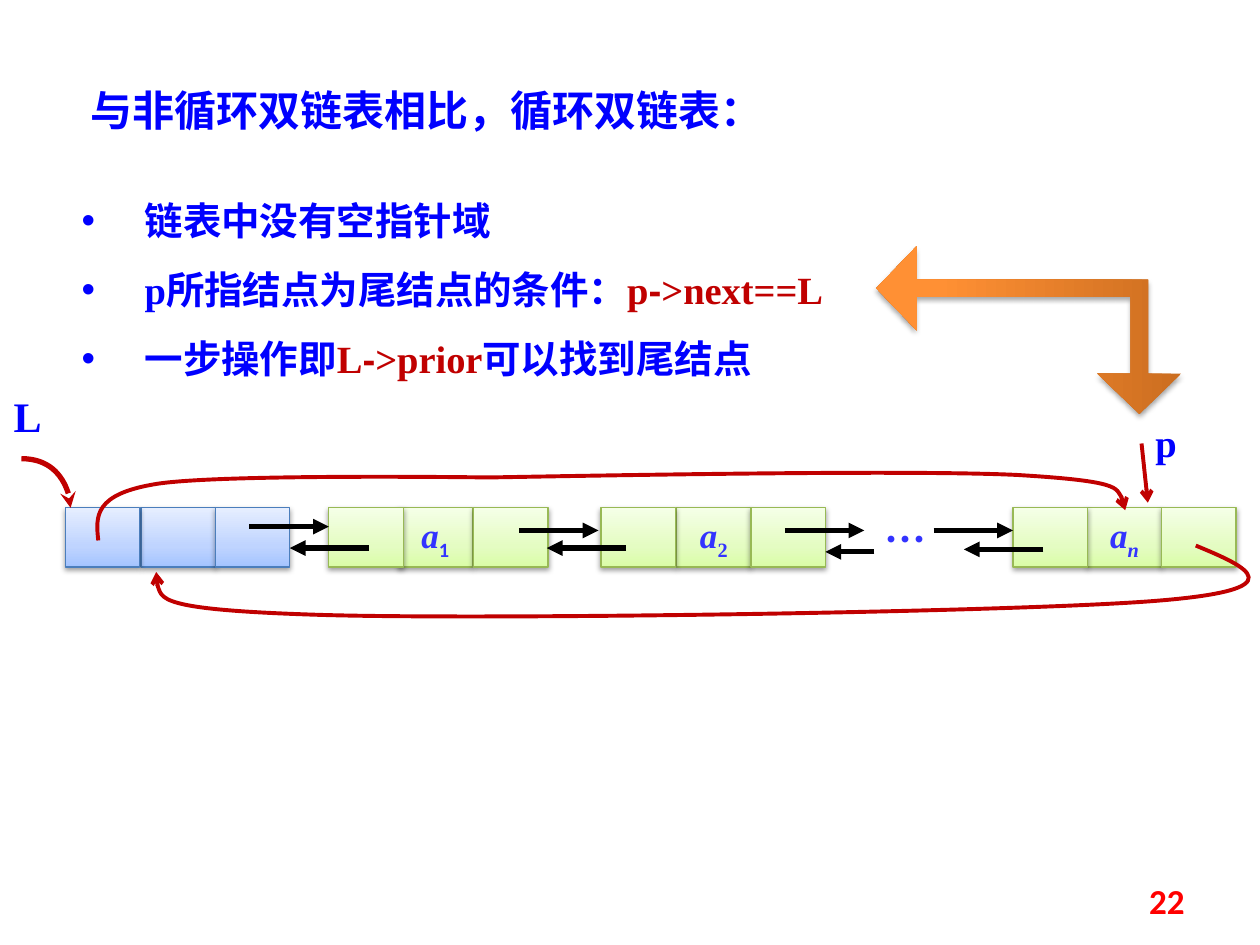
import pptx
import pptx.util
import pptx.oxml
import pptx.oxml.ns
import pptx.dml.color
import pptx.enum.shapes
import pptx.enum.text
from dataclasses import dataclass

Inches, Pt = pptx.util.Inches, pptx.util.Pt
Shape = pptx.enum.shapes.MSO_SHAPE
Align = pptx.enum.text.PP_ALIGN
Anchor = pptx.enum.text.MSO_ANCHOR
Fit = pptx.enum.text.MSO_AUTO_SIZE
qn = pptx.oxml.ns.qn


@dataclass
class Theme:
    serif: str = "Times New Roman"
    hans: str = "Noto Sans CJK SC"
    sans: str = "Calibri"
    dash: str = "Arial"
    blue: str = "0000FF"
    ink: str = "3333FF"
    dark: str = "C00000"
    red: str = "FF0000"
    black: str = "000000"
    head: int = 24
    body: int = 22
    small: int = 20
    # Gradient stops run from the bottom to the top of a shape
    sky: tuple = ((0, "A4C4FF"), (35, "BFD4FF"), (100, "E6EEFF"))
    lime: tuple = ((0, "DAFDA7"), (35, "E4FCC2"), (100, "F5FFE7"))
    flame: tuple = ((0, "CC6E20"), (80, "FF9034"), (100, "FF9136"))
    sky_edge: str = "4B7EBC"
    lime_edge: str = "98B955"


def make(tag, attrs="", inner=""):
    """Return one drawing element."""
    space = pptx.oxml.ns.nsdecls("a")
    return pptx.oxml.parse_xml(f"<a:{tag} {space} {attrs}>{inner}</a:{tag}>")


def color(code):
    return pptx.dml.color.RGBColor.from_string(code)


class Painter:
    def __init__(self, slide, theme):
        self.slide, self.theme = slide, theme
        self.shapes = slide.shapes

    def run(self, para, text, size, code, face=None, bold=True,
            slant=False, sub=False):
        part = para.add_run()
        part.text = text
        font = part.font
        font.size, font.bold, font.italic = Pt(size), bold, slant
        font.color.rgb = color(code)
        font.name = face or self.theme.serif
        props = part._r.get_or_add_rPr()
        props.append(make("ea", f'typeface="{self.theme.hans}"'))
        if sub:
            props.set("baseline", "-25000")

    def title(self, text, box):
        shape = self.shapes.title
        shape.left, shape.top, shape.width, shape.height = map(Inches, box)
        frame = shape.text_frame
        frame.word_wrap, frame.auto_size = True, Fit.NONE
        frame.vertical_anchor = Anchor.TOP
        para = frame.paragraphs[0]
        para.alignment = Align.LEFT
        self.run(para, text, self.theme.head, self.theme.blue, self.theme.hans)

    def box(self, box):
        frame = self.shapes.add_textbox(*map(Inches, box)).text_frame
        frame.word_wrap = True
        return frame

    def label(self, text, box, size, code, align=Align.LEFT, face=None,
              anchor=Anchor.TOP):
        frame = self.box(box)
        frame.vertical_anchor = anchor
        para = frame.paragraphs[0]
        para.alignment = align
        self.run(para, text, size, code, face)

    def bullets(self, items, box):
        frame = self.box(box)
        for i, parts in enumerate(items):
            para = frame.add_paragraph() if i else frame.paragraphs[0]
            props = para._p.get_or_add_pPr()
            props.set("marL", str(Inches(0.5)))
            props.set("indent", str(Inches(-0.5)))
            props.append(make("buFont", 'typeface="Arial"'))
            props.append(make("buChar", 'char="•"'))
            para.line_spacing = 1.5
            for text, code, face in parts:
                self.run(para, text, self.theme.body, code, face)

    def solid(self, kind, box, stops, edge=None, fade=38, drop=1.6):
        """Preset shape with a gradient and a soft shadow."""
        shape = self.shapes.add_shape(kind, *map(Inches, box))
        shape.fill.gradient()
        shape.fill.gradient_angle = 90
        rows = shape._element.spPr.find(qn("a:gradFill")).find(qn("a:gsLst"))
        for stop in list(rows):
            rows.remove(stop)
        for place, code in stops:
            rows.append(make("gs", f'pos="{place * 1000}"',
                             f'<a:srgbClr val="{code}"/>'))
        if edge:
            shape.line.color.rgb = color(edge)
            shape.line.width = Pt(0.75)
        else:
            shape.line.fill.background()
        shape.shadow.inherit = False
        glow = make("outerShdw", f'blurRad="{Pt(3.1)}" dist="{Pt(drop)}" '
                    'dir="5400000" rotWithShape="0"',
                    f'<a:srgbClr val="{self.theme.black}">'
                    f'<a:alpha val="{fade * 1000}"/></a:srgbClr>')
        shape._element.spPr.find(qn("a:effectLst")).append(glow)
        return shape

    def cell(self, box, stops, edge, index=None, face=None, slant=False):
        shape = self.solid(Shape.RECTANGLE, box, stops, edge)
        if index:
            frame = shape.text_frame
            frame.word_wrap = False
            frame.vertical_anchor = Anchor.MIDDLE
            para = frame.paragraphs[0]
            para.alignment = Align.CENTER
            size, ink = self.theme.small, self.theme.ink
            self.run(para, "a", size, ink, slant=True)
            self.run(para, index, size, ink, face, slant=slant, sub=True)

    def stroke(self, shape, code, width, tip):
        shape.line.color.rgb = color(code)
        shape.line.width = Pt(width)
        props = shape._element.spPr
        props.find(qn("a:ln")).append(make("tailEnd", f'type="{tip}"'))
        props.append(make("effectLst"))

    def arrow(self, start, end, code, width=3, tip="triangle"):
        line = self.shapes.add_connector(
            pptx.enum.shapes.MSO_CONNECTOR.STRAIGHT,
            *map(Inches, start + end))
        self.stroke(line, code, width, tip)

    def curve(self, points, width=2.25, tip="arrow"):
        """Bezier curve: a start, then three points for each piece."""
        spots = [(Inches(x), Inches(y)) for x, y in points]
        pen = self.shapes.build_freeform(*spots[0])
        pen.add_line_segments(spots[1:], close=False)
        shape = pen.convert_to_shape()
        shape.fill.background()
        trace = next(shape._element.iter(qn("a:path")))
        legs = trace.findall(qn("a:lnTo"))
        for i in range(0, len(legs), 3):
            bend = make("cubicBezTo")
            for leg in legs[i:i + 3]:
                bend.append(leg[0])
                trace.remove(leg)
            trace.append(bend)
        self.stroke(shape, self.theme.dark, width, tip)


def main():
    deck = pptx.Presentation()
    deck.slide_width, deck.slide_height = Inches(10), Inches(7.5)
    look = Theme()
    art = Painter(deck.slides.add_slide(deck.slide_layouts[5]), look)

    # Title and points
    art.title("与非循环双链表相比，循环双链表：", (0.62, 0.62, 5.94, 0.5))
    blue, dark, serif, dash = look.blue, look.dark, look.serif, look.dash
    art.bullets([
        [("链表中没有空指针域", blue, serif)],
        [("p所指结点为尾结点的条件：", blue, serif), ("p", dark, serif),
         ("-", dark, dash), (">next==L", dark, serif)],
        [("一步操作即", blue, serif), ("L", dark, serif), ("-", dark, dash),
         (">prior", dark, serif), ("可以找到尾结点", blue, serif)],
    ], (0.55, 1.33, 6.95, 1.77))

    # Nodes: left edges of the three cells, colours, index
    top, wide, high = 4.03, 0.59, 0.47
    nodes = [
        ((0.52, 1.12, 1.71), look.sky, look.sky_edge, None, None, False),
        ((2.61, 3.16, 3.76), look.lime, look.lime_edge, "1", look.sans, False),
        ((4.77, 5.37, 5.96), look.lime, look.lime_edge, "2", None, False),
        ((8.04, 8.63, 9.22), look.lime, look.lime_edge, "n", None, True),
    ]
    for (prior, data, after), stops, edge, index, face, slant in nodes:
        art.cell((data, top, wide, high), stops, edge, index, face, slant)
        for left in (after, prior):
            art.cell((left, top, wide, high), stops, edge)
    art.label("…", (6.87, top, 0.63, 0.5), look.head, look.ink,
              Align.CENTER, look.hans)

    # Links to the next node, then back to the prior one
    for start, end, level in [
            (1.98, 2.61, 4.18), (4.12, 4.75, 4.21), (6.23, 6.86, 4.21),
            (7.41, 8.04, 4.21), (2.93, 2.3, 4.35), (4.97, 4.34, 4.35),
            (6.94, 6.55, 4.38), (8.28, 7.65, 4.36)]:
        art.arrow((start, level), (end, level), look.black)

    # Links that close the ring
    art.curve([(9.49, 4.33), (9.9, 4.5), (10.31, 4.68), (9.16, 4.77),
               (8, 4.86), (3.86, 4.92), (2.54, 4.88),
               (1.22, 4.84), (1.23, 4.69), (1.24, 4.54)])
    art.curve([(0.78, 4.29), (0.76, 4.1), (0.74, 3.92), (1.25, 3.84),
               (1.77, 3.76), (3.88, 3.79), (3.88, 3.79),
               (5.01, 3.77), (7.23, 3.73), (8.07, 3.77),
               (8.91, 3.82), (8.92, 3.93), (8.93, 4.05)])

    # Pointers L and p
    art.label("L", (0.01, 3.05, 0.47, 0.5), look.head, blue)
    art.curve([(0.17, 3.64), (0.38, 3.64), (0.56, 3.82), (0.56, 4.03)],
              3, "stealth")
    art.arrow((9.06, 3.52), (9.11, 3.99), dark, 2.25, "arrow")
    art.label("p", (9.06, 3.28, 0.39, 0.47), look.body, blue, Align.CENTER)

    # Bent arrow between the condition and p
    bent = art.solid(Shape.LEFT_UP_ARROW, (7.5, 1.41, 1.33, 2.42),
                     look.flame, fade=35, drop=1.8)
    bent.rotation = 270
    for i, value in enumerate((0.104, 0.25, 0.24)):
        bent.adjustments[i] = value

    # Slide number
    art.label("22", (7.17, 6.95, 2.33, 0.4), look.small, look.red,
              Align.RIGHT, look.sans, Anchor.MIDDLE)
    deck.save("out.pptx")


if __name__ == "__main__":
    main()
